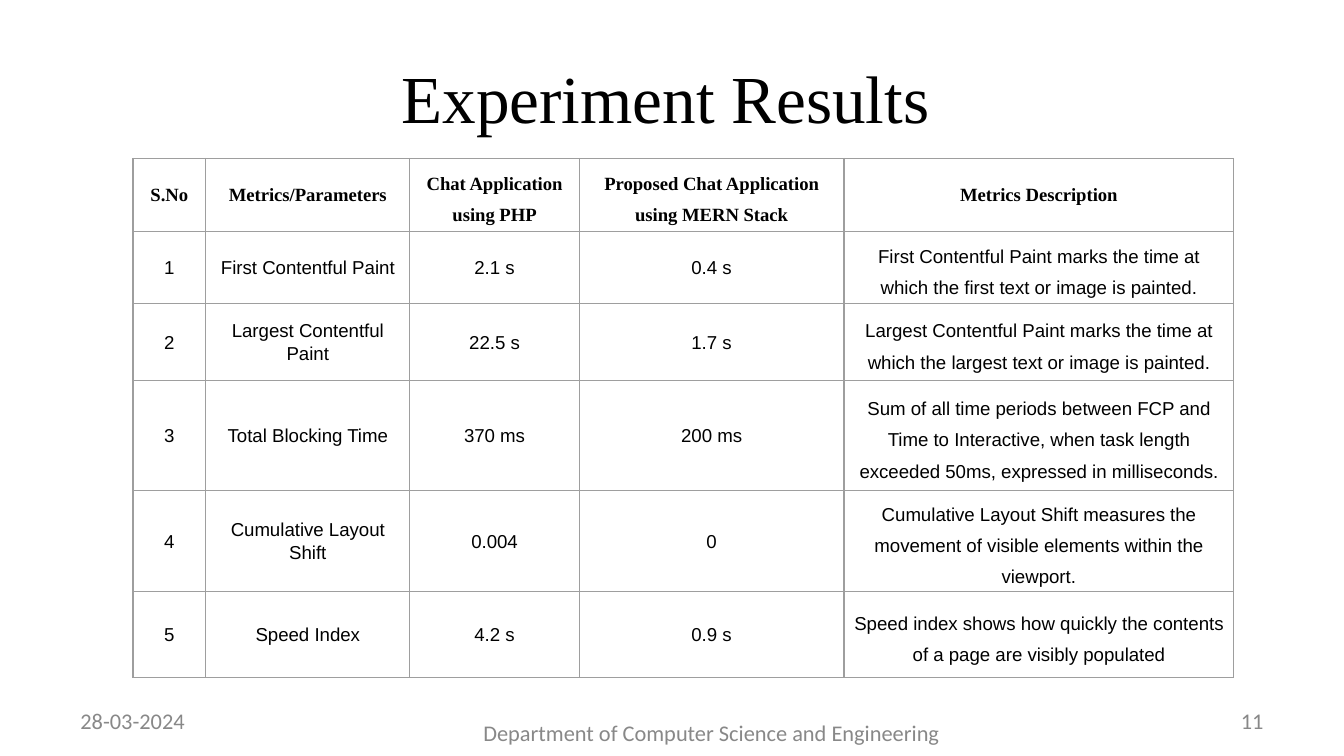
from dataclasses import dataclass

from lxml import etree
from pptx import Presentation
from pptx import util as u
from pptx.dml.color import RGBColor
from pptx.enum import text
from pptx.oxml.ns import qn

ALIGN = text.PP_ALIGN


@dataclass(frozen=True)
class Theme:
    ink: str = "000000"
    muted: str = "888888"
    grid: str = "9E9E9E"
    serif: str = "Times New Roman"
    body: str = "Arial"
    footer: str = "Calibri"
    title_size: int = 36
    footer_size: int = 12
    cell_size: int = 10
    border_width: float = 0.75
    tight: float = 1.07
    loose: float = 1.5


def write(tf, content, *, font, size, color, bold=False, align=ALIGN.LEFT,
          spacing=None, after=None):
    p = tf.paragraphs[0]
    p.alignment = align
    if spacing is not None:
        p.line_spacing = spacing
    if after is not None:
        p.space_after = u.Pt(after)
    r = p.add_run()
    r.text = content
    r.font.name = font
    r.font.size = u.Pt(size)
    r.font.bold = bold
    r.font.color.rgb = RGBColor.from_string(color)


def add_borders(cell, color, width):
    """Draw all four sides; lines must come before the fill in the cell XML."""
    props = cell._tc.get_or_add_tcPr()
    for i, side in enumerate(("lnL", "lnR", "lnT", "lnB")):
        ln = etree.Element(qn(f"a:{side}"), w=str(u.Pt(width)))
        fill = etree.SubElement(ln, qn("a:solidFill"))
        etree.SubElement(fill, qn("a:srgbClr"), val=color)
        props.insert(i, ln)


class SlideBuilder:
    def __init__(self, slide, theme):
        self.s = slide
        self.theme = theme

    def text_box(self, content, box, **style):
        tf = self.s.shapes.add_textbox(*map(u.Inches, box)).text_frame
        tf.word_wrap = True
        tf.vertical_anchor = text.MSO_ANCHOR.MIDDLE
        write(tf, content, **style)

    def title(self, content, box):
        t = self.theme
        self.text_box(content, box, font=t.serif, size=t.title_size,
                      color=t.ink, align=ALIGN.CENTER)

    def footer(self, content, box, align):
        t = self.theme
        self.text_box(content, box, font=t.footer, size=t.footer_size,
                      color=t.muted, align=align)

    def table(self, rows, box, widths, heights, loose_header, loose_body):
        """Draw a grid; the loose columns get the wider line spacing."""
        frame = self.s.shapes.add_table(len(rows), len(widths),
                                        *map(u.Inches, box))
        tbl = frame.table
        tbl.first_row = tbl.horz_banding = False
        for col, width in zip(tbl.columns, widths):
            col.width = u.Inches(width)
        for i, (row, height) in enumerate(zip(rows, heights)):
            tbl.rows[i].height = u.Inches(height)
            loose = loose_body if i else loose_header
            for j, content in enumerate(row):
                self.cell(tbl.cell(i, j), content, i == 0, j in loose)
        # Row heights reset the frame, which leaves room for one row to grow.
        frame.height = u.Inches(box[3])

    def cell(self, cell, content, header, loose):
        t = self.theme
        cell.margin_left = cell.margin_right = u.Inches(0.06)
        cell.margin_top = cell.margin_bottom = 0
        cell.vertical_anchor = text.MSO_ANCHOR.MIDDLE
        cell.fill.background()
        add_borders(cell, t.grid, t.border_width)
        write(cell.text_frame, content, font=t.serif if header else t.body,
              size=t.cell_size, color=t.ink, bold=header, align=ALIGN.CENTER,
              spacing=t.loose if loose else t.tight, after=8)


RESULTS = [
    ("S.No", "Metrics/Parameters", "Chat Application using PHP",
     "Proposed Chat Application using MERN Stack", "Metrics Description"),
    ("1", "First Contentful Paint", "2.1 s", "0.4 s",
     "First Contentful Paint marks the time at which the first text or image "
     "is painted."),
    ("2", "Largest Contentful Paint", "22.5 s", "1.7 s",
     "Largest Contentful Paint marks the time at which the largest text or "
     "image is painted."),
    ("3", "Total Blocking Time", "370 ms", "200 ms",
     "Sum of all time periods between FCP and Time to Interactive, when task "
     "length exceeded 50ms, expressed in milliseconds."),
    ("4", "Cumulative Layout Shift", "0.004", "0",
     "Cumulative Layout Shift measures the movement of visible elements "
     "within the viewport."),
    ("5", "Speed Index", "4.2 s", "0.9 s",
     "Speed index shows how quickly the contents of a page are visibly "
     "populated"),
]


def main():
    prs = Presentation()
    prs.slide_width = u.Inches(10)
    prs.slide_height = u.Emu(prs.slide_width * 9 // 16)
    slide = SlideBuilder(prs.slides.add_slide(prs.slide_layouts[6]), Theme())

    slide.title("Experiment Results ", (1.67, 0.37, 6.69, 0.69))
    slide.table(RESULTS, (0.99, 1.18, 8.2, 3.83),
                widths=(0.54, 1.52, 1.26, 1.97, 2.9),
                heights=(0.54, 0.54, 0.57, 0.82, 0.57, 0.64),
                loose_header={2, 3}, loose_body={4})
    slide.footer("28-03-2024", (0.5, 5.21, 2.33, 0.3), ALIGN.LEFT)
    slide.footer("Department of Computer Science and Engineering",
                 (3.42, 5.3, 3.75, 0.3), ALIGN.CENTER)
    slide.footer("11", (7.17, 5.21, 2.33, 0.3), ALIGN.RIGHT)

    prs.save("out.pptx")


if __name__ == "__main__":
    main()
